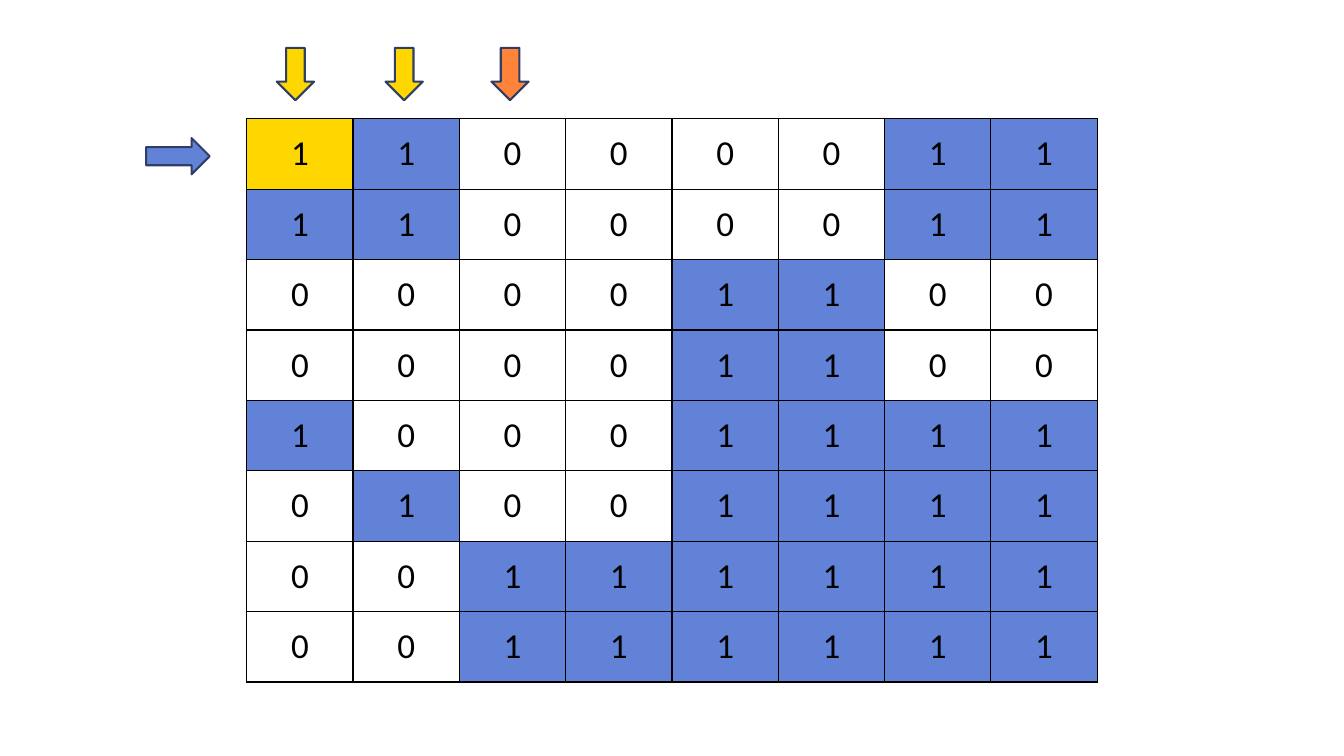
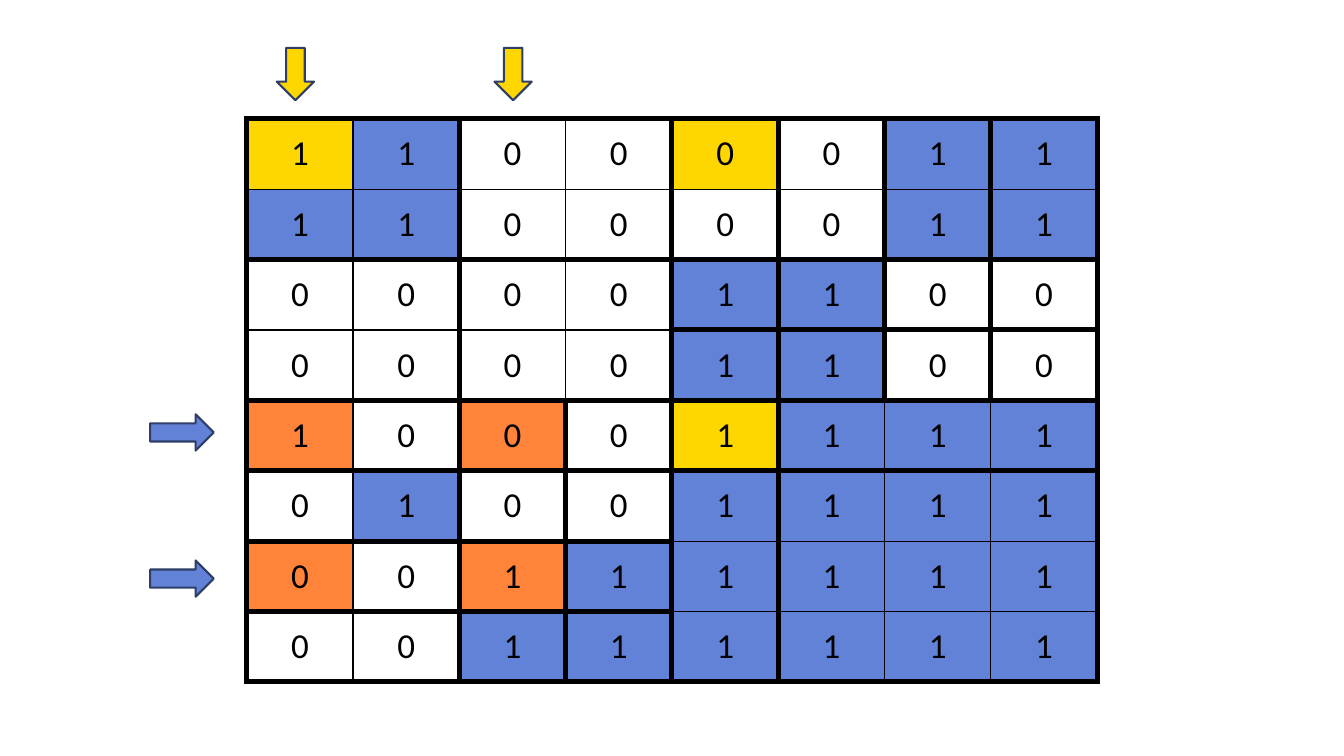
from dataclasses import dataclass

from pptx import Presentation
from pptx.dml.color import RGBColor
from pptx.enum.shapes import MSO_SHAPE
from pptx.enum.text import MSO_ANCHOR, PP_ALIGN
from pptx.oxml import parse_xml
from pptx.oxml.ns import nsdecls
from pptx.util import Pt


@dataclass(frozen=True)
class Theme:
    blue: str = "6182D6"
    yellow: str = "FFD700"
    orange: str = "FF843A"
    white: str = "FFFFFF"
    black: str = "000000"
    outline: str = "2E3E67"
    font: str = "Calibri"
    digit_size: float = 25
    thin: float = 1
    heavy: float = 4
    arrow_line: float = 1.5


@dataclass(frozen=True)
class Box:
    left: float
    top: float
    width: float
    height: float


THEME = Theme()
GRID_BOX = Box(176.2, 84.8, 607.6, 402.4)
COLUMN_ARROW = (37.4, 26.6)
ROW_ARROW = (45.4, 25.9)
COLUMN_ARROW_GAP = 31.9

BITS = (
    "11000011",
    "11000011",
    "00001100",
    "00001100",
    "10001111",
    "01001111",
    "00111111",
    "00111111",
)
SIZE = len(BITS)
ALL = range(SIZE)
FIRST_HALF = range(SIZE // 2)
LAST_HALF = range(SIZE // 2, SIZE)

HEAVY_COLUMNS = {0: ALL, 2: ALL, 3: LAST_HALF, 4: ALL, 5: ALL,
                 6: FIRST_HALF, 7: FIRST_HALF, 8: ALL}
HEAVY_ROWS = {0: ALL, 2: ALL, 3: LAST_HALF, 4: ALL, 5: ALL,
              6: FIRST_HALF, 7: FIRST_HALF, 8: ALL}


def rgb(color):
    return RGBColor.from_string(color)


def paint(shape, color):
    shape.fill.solid()
    shape.fill.fore_color.rgb = rgb(color)


def set_borders(cell, row, column, heavy_columns, heavy_rows):
    edges = (
        ("lnL", row in heavy_columns.get(column, ())),
        ("lnR", row in heavy_columns.get(column + 1, ())),
        ("lnT", column in heavy_rows.get(row, ())),
        ("lnB", column in heavy_rows.get(row + 1, ())),
    )
    properties = cell._tc.get_or_add_tcPr()
    for position, (tag, is_heavy) in enumerate(edges):
        width = Pt(THEME.heavy if is_heavy else THEME.thin)
        properties.insert(position, parse_xml(
            f'<a:{tag} {nsdecls("a")} w="{width}"><a:solidFill>'
            f'<a:srgbClr val="{THEME.black}"/></a:solidFill></a:{tag}>'))


def write_digit(cell, digit):
    cell.vertical_anchor = MSO_ANCHOR.MIDDLE
    para = cell.text_frame.paragraphs[0]
    para.text = digit
    para.alignment = PP_ALIGN.CENTER
    font = para.runs[0].font
    font.name = THEME.font
    font.size = Pt(THEME.digit_size)
    font.color.rgb = rgb(THEME.black)


def add_bit_grid(page, box, highlights, heavy_columns, heavy_rows):
    table = page.shapes.add_table(
        SIZE, SIZE, Pt(box.left), Pt(box.top), Pt(box.width), Pt(box.height)).table
    table.first_row = False
    table.horz_banding = False
    for index in ALL:
        table.columns[index].width = Pt(box.width / SIZE)
        table.rows[index].height = Pt(box.height / SIZE)
    for row, digits in enumerate(BITS):
        for column, digit in enumerate(digits):
            cell = table.cell(row, column)
            write_digit(cell, digit)
            default = THEME.blue if digit == "1" else THEME.white
            paint(cell, highlights.get((row, column), default))
            set_borders(cell, row, column, heavy_columns, heavy_rows)


def add_arrow(page, center_x, center_y, size, color, rotation=0):
    width, height = size
    arrow = page.shapes.add_shape(
        MSO_SHAPE.RIGHT_ARROW, Pt(center_x - width / 2), Pt(center_y - height / 2),
        Pt(width), Pt(height))
    arrow.rotation = rotation
    arrow.shadow.inherit = False
    paint(arrow, color)
    arrow.line.color.rgb = rgb(THEME.outline)
    arrow.line.width = Pt(THEME.arrow_line)


def add_column_arrows(page, box, arrows):
    for offset, color in arrows:
        add_arrow(page, box.left + offset, box.top - COLUMN_ARROW_GAP,
                  COLUMN_ARROW, color, 90)


def add_row_arrows(page, box, offsets, gap):
    for offset in offsets:
        add_arrow(page, box.left - gap, box.top + offset, ROW_ARROW, THEME.blue)


def add_grid_page(deck, box, highlights, column_arrows, row_arrows, row_arrow_gap,
                  heavy_columns, heavy_rows):
    page = deck.slides.add_slide(deck.slide_layouts[6])
    add_bit_grid(page, box, highlights, heavy_columns, heavy_rows)
    add_row_arrows(page, box, row_arrows, row_arrow_gap)
    add_column_arrows(page, box, column_arrows)


def main():
    deck = Presentation()
    deck.slide_width = Pt(960)
    deck.slide_height = Pt(540)
    add_grid_page(
        deck, GRID_BOX,
        highlights={(0, 0): THEME.yellow},
        column_arrows=((34.8, THEME.yellow), (112.5, THEME.yellow), (188.1, THEME.orange)),
        row_arrows=(26.8,), row_arrow_gap=49.1,
        heavy_columns={}, heavy_rows={})
    yellow_cells = ((0, 0), (0, 4), (4, 4))
    orange_cells = ((4, 0), (4, 2), (6, 0), (6, 2))
    add_grid_page(
        deck, GRID_BOX,
        highlights=dict.fromkeys(yellow_cells, THEME.yellow)
        | dict.fromkeys(orange_cells, THEME.orange),
        column_arrows=((34.8, THEME.yellow), (190.3, THEME.yellow)),
        row_arrows=(224.1, 328.5), row_arrow_gap=46.2,
        heavy_columns=HEAVY_COLUMNS, heavy_rows=HEAVY_ROWS)
    deck.save("out.pptx")


if __name__ == "__main__":
    main()
